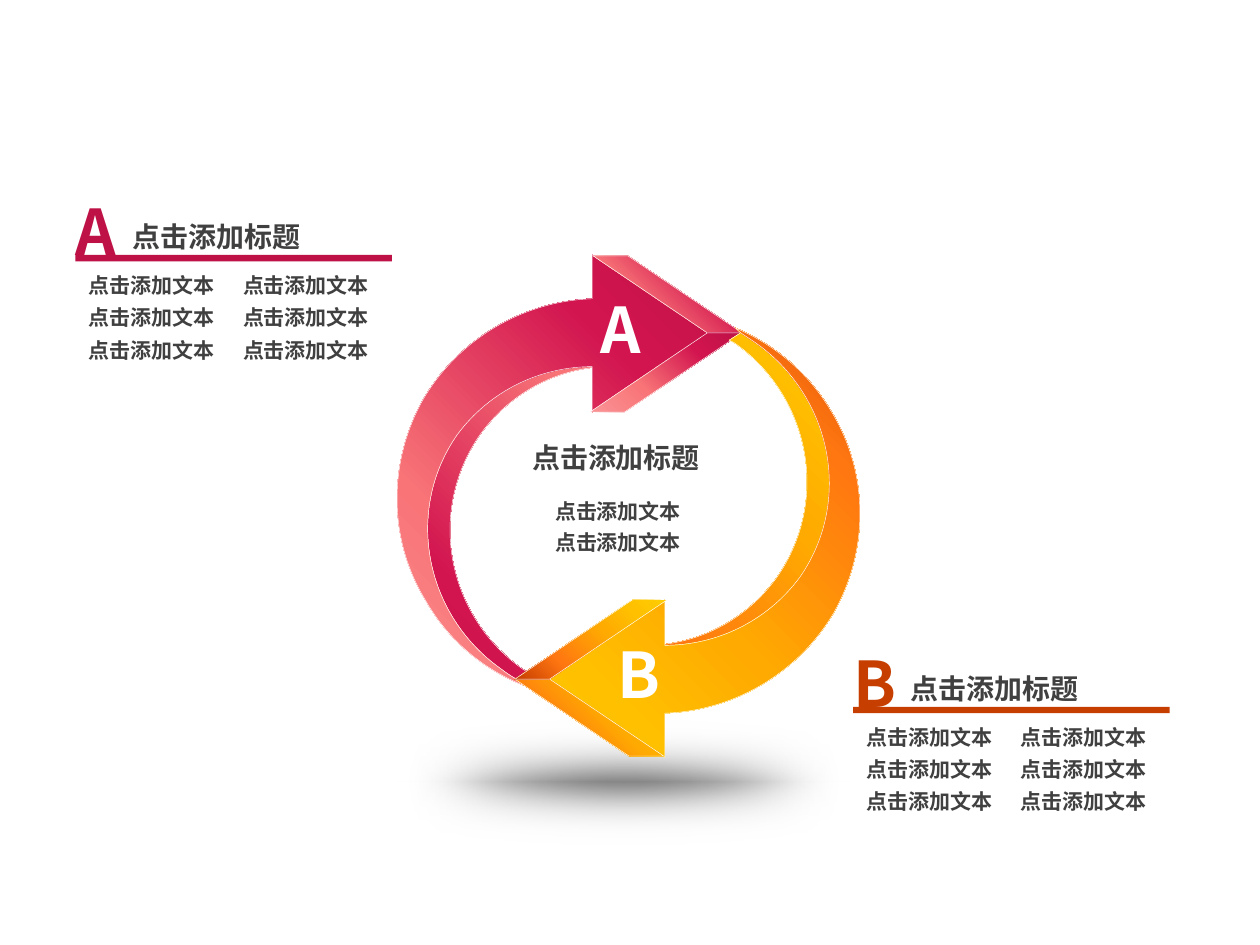
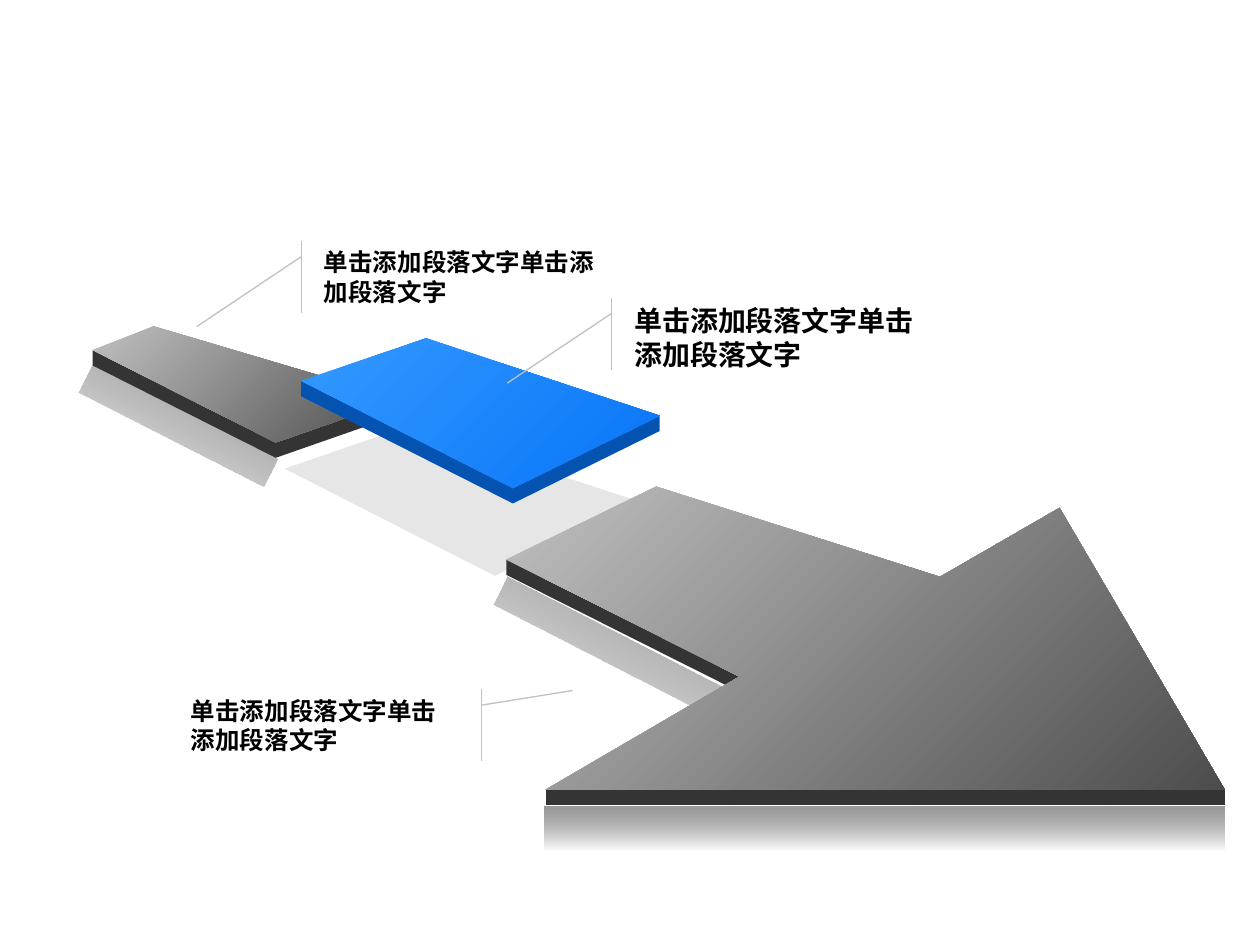
from dataclasses import dataclass
from math import cos, radians, sin

from lxml import etree
from pptx import Presentation
from pptx.dml.color import RGBColor
from pptx.enum.shapes import MSO_SHAPE as Preset
from pptx.enum.text import MSO_ANCHOR as Anchor, PP_ALIGN as Align
from pptx.oxml.ns import qn
from pptx.util import Cm, Pt


@dataclass(frozen=True)
class Theme:
    text: str = "404040"
    black: str = "000000"
    white: str = "FFFFFF"
    crimson: str = "BE1247"
    rust: str = "C73E01"
    callout: str = "C0C0C0"
    cjk: str = "Noto Sans CJK SC"
    letter: str = "Noto Sans CJK KR"
    latin: str = "Arial"
    letter_size: int = 36
    title_size: int = 16
    callout_size: int = 14
    text_size: int = 12
    # Each stop is position, colour, opacity in percent
    crimsons: tuple = ((0, "BE1247", 100), (27, "D2144F", 100), (66, "F87477", 100), (100, "FA9496", 100))
    ambers: tuple = ((0, "C73E01", 100), (27, "FF7711", 100), (59, "FFAA01", 100),
                     (80, "FFC000", 100), (100, "FECE02", 100))
    floor_shadow: tuple = ((0, "121212", 100), (100, "FFFFFF", 0))
    greys: tuple = ((0, "C0C0C0", 100), (100, "4D4D4D", 100))
    blues: tuple = ((0, "3399FF", 100), (100, "0875F8", 100))
    slot: tuple = ((0, "C0C0C0", 38), (100, "C0C0C0", 38))
    reflection: tuple = ((0, "5F5F5F", 0), (100, "969696", 100))
    dark_side: str = "343434"
    blue_side: str = "0553B0"


theme = Theme()


def write(shape, text, font=theme.cjk, size=theme.text_size, color=theme.text, wrap=True):
    frame = shape.text_frame
    frame.word_wrap = wrap
    frame.vertical_anchor = Anchor.TOP
    paragraph = frame.paragraphs[0]
    paragraph.alignment = Align.LEFT
    run = paragraph.add_run()
    run.text = text
    run.font.name = font
    run.font.size = Pt(size)
    run.font.bold = True
    run.font.color.rgb = RGBColor.from_string(color)
    etree.SubElement(run.font._element, qn("a:ea"), typeface=font)


def paint(shape, fill, focus=None, path="circle", angle=0, line=None):
    """Fill with a colour or with gradient stops; focus is the left, top, right, bottom of a path gradient."""
    shape.shadow.inherit = False
    if line:
        shape.line.color.rgb = RGBColor.from_string(line)
        shape.line.width = Pt(0.25)
    else:
        shape.line.fill.background()
    shape.fill.solid()
    if isinstance(fill, str):
        shape.fill.fore_color.rgb = RGBColor.from_string(fill)
        return
    gradient = etree.Element(qn("a:gradFill"), rotWithShape="1")
    stops = etree.SubElement(gradient, qn("a:gsLst"))
    for position, color, opacity in fill:
        stop = etree.SubElement(stops, qn("a:gs"), pos=str(position * 1000))
        tint = etree.SubElement(stop, qn("a:srgbClr"), val=color)
        if opacity < 100:
            etree.SubElement(tint, qn("a:alpha"), val=str(opacity * 1000))
    if focus:
        spread = etree.SubElement(gradient, qn("a:path"), path=path)
        sides = {side: str(value * 1000) for side, value in zip("ltrb", focus)}
        etree.SubElement(spread, qn("a:fillToRect"), **sides)
    else:
        etree.SubElement(gradient, qn("a:lin"), ang=str(angle * 60000), scaled="0")
    properties = shape._element.spPr
    properties.replace(properties.find(qn("a:solidFill")), gradient)


presentation = Presentation()
presentation.slide_width, presentation.slide_height = Cm(25.4), Cm(19.05)
blank = presentation.slide_layouts[6]

# Slide 1: two arrows chasing each other round a circle
slide = presentation.slides.add_slide(blank)
floor = slide.shapes.add_shape(Preset.OVAL, Cm(5.31), Cm(14.25), Cm(14.5), Cm(3.02))
paint(floor, theme.floor_shadow, focus=(50, 50, 50, 50), path="shape")
effects = floor._element.spPr.find(qn("a:effectLst"))
etree.SubElement(effects, qn("a:softEdge"), rad=str(Cm(1.14)))

TOP_RIGHT, BOTTOM_LEFT = (100, 0, 0, 100), (0, 100, 100, 0)
TURN_X, TURN_Y = 25.34, 20.4  # a half turn sends (x, y) to (TURN_X - x, TURN_Y - y)

# Two numbers are a corner, six are a Bézier curve; only the tails differ between the arrows
inner_front = [(12.19, 6.05), (12.19, 7.39), (11.2, 7.44, 10.29, 7.92, 9.68, 8.76),
               (8.61, 10.29, 8.99, 12.4, 10.54, 13.49)]
inner_back = [(9.73, 13.28), (9.07, 12.57), (8.51, 11.23), (8.61, 11.15),
              (8.33, 10.13, 8.46, 9.02, 8.99, 8.05), (9.65, 6.88, 10.87, 6.15, 12.19, 6.05)]
band_front = [(11.94, 5.13), (14.35, 6.73), (11.94, 8.31), (11.94, 7.39),
              (10.9, 7.39, 9.88, 7.87, 9.22, 8.76), (8.15, 10.29, 8.56, 12.4, 10.11, 13.49)]
band_back = [(7.82, 10.87, 7.82, 9.32, 8.53, 8.05), (9.25, 6.83, 10.54, 6.07, 11.94, 6.02)]
arrows = [
    ("A", theme.crimsons, 293, TOP_RIGHT, (11.86, 5.74),
     [(10.77, 13.64, 11, 13.77, 11.25, 13.87), (11.58, 14), (10.9, 13.94), (10.44, 13.74)],
     [(10.41, 13.72, 10.77, 13.89, 11.13, 14), (10.06, 13.74, 9.14, 13.08, 8.59, 12.12)]),
    ("B", theme.ambers, 113, BOTTOM_LEFT, (12.2, 12.69),
     [(10.64, 13.54), (10.41, 13.69)],
     [(10.41, 13.69), (10.52, 13.79), (9.73, 13.46, 9.04, 12.88, 8.59, 12.12)]),
]
head_sides = [(11.96, 5.16, 3, 1.55, True), (11.89, 6.71, 3.07, 1.6, False)]
TILT = radians(293)

for letter, colors, rotation, side_focus, letter_place, inner_tail, band_tail in arrows:
    turned = rotation == 113
    for outline, focus in [(inner_front + inner_tail + inner_back, BOTTOM_LEFT),
                           (band_front + band_tail + band_back, TOP_RIGHT)]:
        # Lay the outline level about the slide's corner, then tilt the finished shape
        points = [point for segment in outline for point in zip(segment[::2], segment[1::2])]
        level = [(Cm(x * cos(TILT) + y * sin(TILT)), Cm(y * cos(TILT) - x * sin(TILT))) for x, y in points]
        builder = slide.shapes.build_freeform(*level[0])
        builder.add_line_segments(level[1:], close=True)
        shape = builder.convert_to_shape()
        lines = iter(shape._element.findall(".//" + qn("a:lnTo")))
        for segment in outline[1:]:
            first = next(lines)
            if len(segment) == 6:
                first.tag = qn("a:cubicBezTo")
                for line in (next(lines), next(lines)):
                    first.append(line[0])
                    line.getparent().remove(line)
        x, y = shape.left + shape.width / 2, shape.top + shape.height / 2
        x, y = x * cos(TILT) - y * sin(TILT), x * sin(TILT) + y * cos(TILT)
        if turned:
            x, y = Cm(TURN_X) - x, Cm(TURN_Y) - y
        shape.left, shape.top = round(x - shape.width / 2), round(y - shape.height / 2)
        shape.rotation = rotation
        paint(shape, colors, focus=focus, line=theme.white)
    for left, top, width, height, flipped in head_sides:
        if turned:
            left, top = TURN_X - left - width, TURN_Y - top - height
        side = slide.shapes.add_shape(Preset.PARALLELOGRAM, Cm(left), Cm(top), Cm(width), Cm(height))
        side.adjustments[0] = 1.483
        side.rotation = 180 if turned else 0
        if flipped:
            side._element.spPr.find(qn("a:xfrm")).set("flipH", "1")
        paint(side, colors, focus=side_focus, line=theme.white)
    box = slide.shapes.add_textbox(*map(Cm, letter_place), Cm(1.38), Cm(1.8))
    write(box, letter, font=theme.letter, size=theme.letter_size, color=theme.white, wrap=False)

TITLE, TEXT = "点击添加标题", "点击添加文本"
titles = [(10.48, 8.76)]
texts = [(10.94, 9.93), (10.94, 10.56)]
for letter, color, left, top in [("A", theme.crimson, 1.52, 5.14), ("B", theme.rust, 17.2, 14.25)]:
    rule = slide.shapes.add_shape(Preset.RECTANGLE, Cm(left), Cm(top), Cm(6.38), Cm(0.13))
    paint(rule, color)
    box = slide.shapes.add_textbox(Cm(left - 0.25), Cm(top - 1.39), Cm(1.38), Cm(1.8))
    write(box, letter, font=theme.letter, size=theme.letter_size, color=color, wrap=False)
    titles.append((left + 0.91, top - 0.84))
    texts += [(left + 0.02 + 3.11 * column, top + 0.23 + 0.65 * row) for column in range(2) for row in range(3)]
for left, top in titles:
    write(slide.shapes.add_textbox(Cm(left), Cm(top), Cm(4.42), Cm(0.94)), TITLE, size=theme.title_size)
for left, top in texts:
    write(slide.shapes.add_textbox(Cm(left), Cm(top), Cm(3.48), Cm(0.76)), TEXT)

# Slide 2: an arrow in three slabs, the middle one lifted out
slide = presentation.slides.add_slide(blank)
for left, top, width, height, rotation in [
    (1.5, 8.26, 4.17, 0.64, 207),
    (9.8, 12.83, 5.46, 0.64, 207),
    (10.97, 16.26, 13.72, 0.89, 180),
]:
    reflection = slide.shapes.add_shape(Preset.RECTANGLE, Cm(left), Cm(top), Cm(width), Cm(height))
    reflection.rotation = rotation
    paint(reflection, theme.reflection, angle=90)

DEPTH = 0.31
tail = [(1.87, 7.06), (5.56, 8.92), (8.05, 8.05), (3.1, 6.58)]
slot = [(9.98, 11.61), (12.95, 10.13), (8.23, 8.59), (5.74, 9.45)]
lifted = [(6.07, 7.68), (10.34, 9.84), (13.3, 8.38), (8.59, 6.82)]
head = [(10.21, 11.28), (14.91, 13.64), (11, 15.92), (24.69, 15.92),
        (21.36, 10.24), (18.95, 11.63), (13.23, 9.81)]
# Each slab lists the edges that face the viewer
slabs = [
    (slot, theme.slot, [], None),
    (tail, theme.greys, [tail[:3]], theme.dark_side),
    (lifted, theme.blues, [lifted[:3]], theme.blue_side),
    (head, theme.greys, [head[:2], head[2:4]], theme.dark_side),
]
for top_face, stops, edges, side_color in slabs:
    faces = [(edge + [(x, y + DEPTH) for x, y in reversed(edge)], side_color) for edge in edges]
    for outline, fill in faces + [(top_face, stops)]:
        corners = [(Cm(x), Cm(y)) for x, y in outline]
        builder = slide.shapes.build_freeform(*corners[0])
        builder.add_line_segments(corners[1:], close=True)
        paint(builder.convert_to_shape(), fill, angle=45)

RIGHT_OF_LINE, LEFT_OF_LINE = (0.219, -0.033, 1.189, -0.366), (0.219, 1.036, 0.015, 1.349)
for left, top, width, size, pointer in [
    (6.28, 4.86, 6.32, theme.callout_size, RIGHT_OF_LINE),
    (12.54, 6, 6.32, theme.title_size, RIGHT_OF_LINE),
    (3.6, 13.9, 5.89, theme.callout_size, LEFT_OF_LINE),
]:
    callout = slide.shapes.add_shape(Preset.LINE_CALLOUT_1_ACCENT_BAR, Cm(left), Cm(top), Cm(width), Cm(1.45))
    for index, value in enumerate(pointer):
        callout.adjustments[index] = value
    callout.shadow.inherit = False
    callout.fill.background()
    callout.line.color.rgb = RGBColor.from_string(theme.callout)
    callout.line.width = Pt(0.75)
    write(callout, "单击添加段落文字单击添加段落文字", font=theme.latin, size=size, color=theme.black)

presentation.save("out.pptx")
